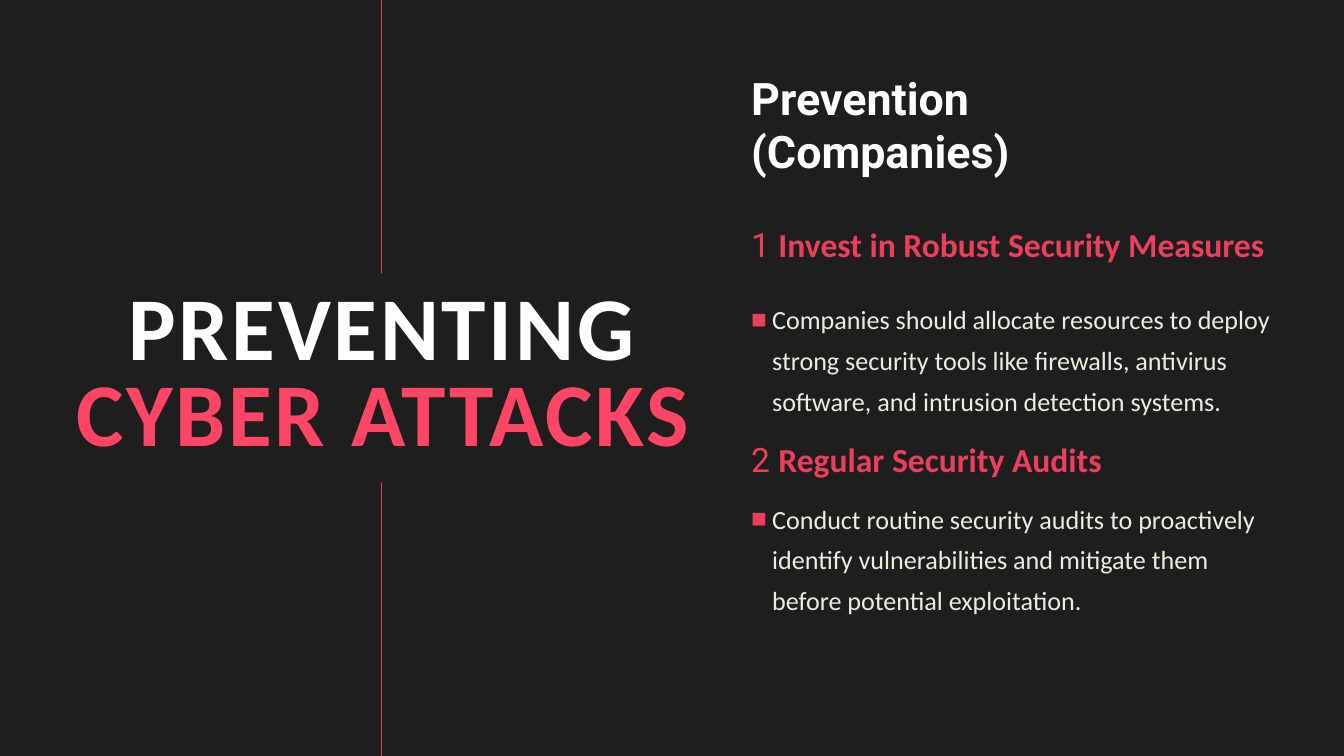
from lxml import etree
from pptx import Presentation
from pptx.dml.color import RGBColor
from pptx.enum import shapes, text
from pptx.oxml.ns import qn
from pptx.util import Pt

COLORS = {"background": "1E1E1E", "accent": "EB3F5C", "bright": "FF4565",
          "white": "FFFFFF", "body": "EEECE1"}
WIDTH, HEIGHT = 1440, 810

# Text formats
TITLE = {"name": "Calibri", "size": Pt(96), "bold": True}
HEADING = {"name": "Roboto", "size": Pt(48), "bold": True}
NUMBER = {"name": "Roboto", "size": Pt(36), "bold": False}
TOPIC = {"name": "Calibri", "size": Pt(36), "bold": True}
BODY = {"name": "Calibri", "size": Pt(28), "bold": False}

SECTIONS = [
    # heading top, distance from heading to body, number, topic, advice
    (244.1, 67.7, "1 ", "Invest in Robust Security Measures",
     "Companies should allocate resources to deploy strong security tools like "
     "firewalls, antivirus software, and intrusion detection systems."),
    (474.5, 50.7, "2 ", "Regular Security Audits",
     "Conduct routine security audits to proactively identify vulnerabilities "
     "and mitigate them before potential exploitation."),
]


def rgb(name):
    return RGBColor.from_string(COLORS[name])


def add_run(paragraph, words, style, color):
    run = paragraph.add_run()
    run.text = words
    for key, value in style.items():
        setattr(run.font, key, value)
    run.font.color.rgb = rgb(color)
    return run


def add_text_frame(slide, left, top, width, height, anchor=text.MSO_ANCHOR.TOP):
    box = slide.shapes.add_textbox(Pt(left), Pt(top), Pt(width), Pt(height))
    frame = box.text_frame
    frame.word_wrap = True
    frame.vertical_anchor = anchor
    return frame


def add_square_bullet(paragraph, indent):
    properties = paragraph._p.get_or_add_pPr()
    properties.set("marL", str(Pt(indent)))
    properties.set("indent", str(-Pt(indent)))
    color = etree.SubElement(properties, qn("a:buClr"))
    etree.SubElement(color, qn("a:srgbClr"), val=COLORS["accent"])
    etree.SubElement(properties, qn("a:buFont"), typeface="Arial")
    etree.SubElement(properties, qn("a:buChar"), char="■")


def add_title_panel(slide, left, top, width, height):
    # Vertical rule, interrupted by the title block
    rule_x = Pt(left + 366.5)
    rule = slide.shapes.add_connector(
        shapes.MSO_CONNECTOR.STRAIGHT, rule_x, Pt(top), rule_x, Pt(top + height))
    rule.line.color.rgb = rgb("accent")
    rule.line.width = Pt(1)
    etree.SubElement(rule._element.spPr, qn("a:effectLst"))

    # Title block
    block = slide.shapes.add_shape(
        shapes.MSO_SHAPE.RECTANGLE, Pt(left), Pt(top + 293), Pt(width), Pt(224))
    block.shadow.inherit = False
    block.fill.solid()
    block.fill.fore_color.rgb = rgb("background")
    block.line.fill.background()
    frame = block.text_frame
    frame.word_wrap = True
    frame.vertical_anchor = text.MSO_ANCHOR.MIDDLE
    title = frame.paragraphs[0]
    title.alignment = text.PP_ALIGN.CENTER
    title.line_spacing = 0.8
    for words, color in (("PREVENTING ", "white"), ("CYBER ATTACKS", "bright")):
        run = add_run(title, words, TITLE, color)
        run._r.get_or_add_rPr().set("spc", "300")


def add_section(slide, left, top, width, body_offset, number, topic, advice):
    # Numbered topic
    frame = add_text_frame(slide, left, top, width, 42.5, text.MSO_ANCHOR.BOTTOM)
    add_run(frame.paragraphs[0], number, NUMBER, "accent")
    add_run(frame.paragraphs[0], topic, TOPIC, "accent")

    # Bulleted advice
    frame = add_text_frame(slide, left, top + body_offset, width, 131)
    bullet = frame.paragraphs[0]
    bullet.line_spacing = 1.3
    add_square_bullet(bullet, 22.5)
    add_run(bullet, advice, BODY, "body")


def add_prevention_panel(slide, left, top, width):
    for section_top, *content in SECTIONS:
        add_section(slide, left, top + section_top, width, *content)

    # Panel heading
    frame = add_text_frame(slide, left, top + 71.8, 361.5, 123.8)
    frame.auto_size = text.MSO_AUTO_SIZE.SHAPE_TO_FIT_TEXT
    add_run(frame.paragraphs[0], "Prevention (Companies)", HEADING, "white")


def main():
    deck = Presentation()
    deck.slide_width, deck.slide_height = Pt(WIDTH), Pt(HEIGHT)
    slide = deck.slides.add_slide(deck.slide_layouts[6])
    slide.background.fill.solid()
    slide.background.fill.fore_color.rgb = rgb("background")
    add_title_panel(slide, 42.5, 0, 736, HEIGHT)
    add_prevention_panel(slide, 797.8, 0, 571.7)
    deck.save("out.pptx")


if __name__ == "__main__":
    main()
